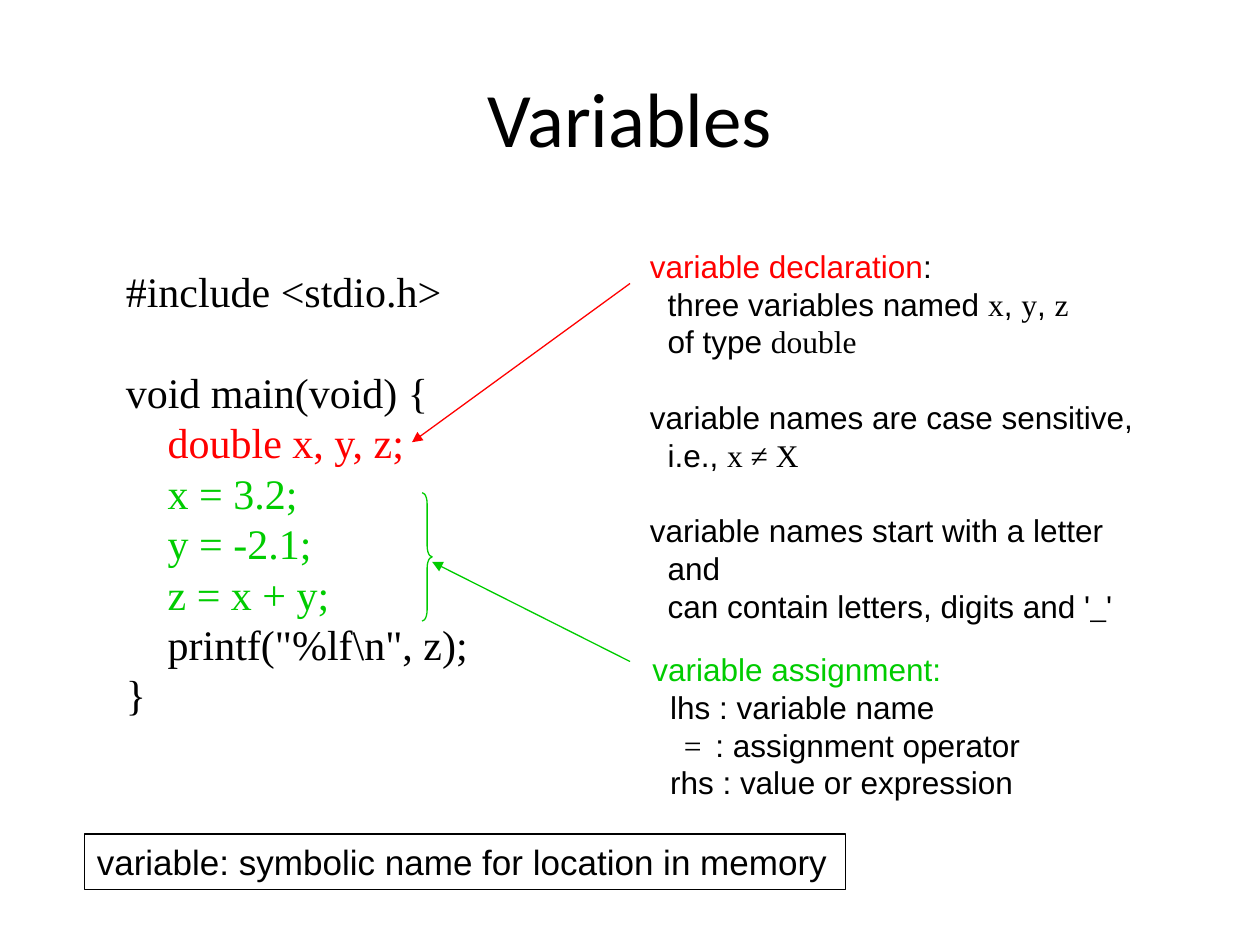
from lxml import etree
from pptx import Presentation
from pptx.dml.color import RGBColor
from pptx.enum import shapes, text
from pptx.oxml import ns
from pptx.util import Inches, Pt

BLACK = RGBColor(0x00, 0x00, 0x00)
RED = RGBColor(0xFF, 0x00, 0x00)
GREEN = RGBColor(0x00, 0xCC, 0x00)
SANS, SERIF = "Arial", "Times New Roman"
LEADING = 1.2


def add_span(para, words, font=SANS, size=18, color=BLACK):
    """Add formatted text; a newline becomes a line break."""
    for number, line in enumerate(words.split("\n")):
        if number:
            para.add_line_break()
        if line:
            span = para.add_run()
            span.text = line
            span.font.name = font
            span.font.size = Pt(size)
            span.font.color.rgb = color


def fill_box(box, paragraphs, size=18):
    """Each paragraph: lines of space before, left margin, first indent, spans."""
    frame = box.text_frame
    frame.word_wrap = False
    frame.auto_size = text.MSO_AUTO_SIZE.SHAPE_TO_FIT_TEXT
    frame.vertical_anchor = text.MSO_ANCHOR.TOP
    for number, (gap, margin, indent, spans) in enumerate(paragraphs):
        para = frame.add_paragraph() if number else frame.paragraphs[0]
        para.alignment = text.PP_ALIGN.LEFT
        para.line_spacing = Pt(size * LEADING)
        if gap:
            para.space_before = Pt(gap * size * LEADING)
        properties = para._p.get_or_add_pPr()
        properties.set("marL", str(Inches(margin)))
        properties.set("indent", str(Inches(indent)))
        for words, style in spans:
            add_span(para, words, size=size, **style)


deck = Presentation()
deck.slide_width, deck.slide_height = Inches(10), Inches(7.5)
page = deck.slides.add_slide(deck.slide_layouts[5])

# Title
title = page.shapes.title
title.left, title.top = Inches(0.5), Inches(0.3)
title.width, title.height = Inches(9), Inches(1.25)
title.text_frame.vertical_anchor = text.MSO_ANCHOR.MIDDLE
title_para = title.text_frame.paragraphs[0]
title_para.alignment = text.PP_ALIGN.CENTER
add_span(title_para, "Variables", font="Calibri", size=44)

# Program listing
code_lines = [
    (0, "#include <stdio.h>", BLACK),
    (1, "void main(void) {", BLACK),
    (0, "    double x, y, z;", RED),
    (0, "    x = 3.2;", GREEN),
    (0, "    y = -2.1;", GREEN),
    (0, "    z = x + y;", GREEN),
    (0, '    printf("%lf\\n", z);', BLACK),
    (0, "}", BLACK),
]
code = page.shapes.add_textbox(Inches(0.9), Inches(2.06), Inches(2.94), Inches(3.74))
fill_box(code, [(gap, 0, 0, [(line, {"font": SERIF, "color": color})])
                for gap, line, color in code_lines], size=24)

# Notes on declaration and names, with hanging indents
STEP = 0.14
plain, mono = {}, {"font": SERIF}
declaration = page.shapes.add_textbox(Inches(5.06), Inches(1.91), Inches(4.28), Inches(3.1))
fill_box(declaration, [
    (0, STEP, -STEP, [
        ("variable declaration", {"color": RED}),
        (":\nthree variables named ", plain), ("x", mono), (", ", plain),
        ("y", mono), (", ", plain), ("z", mono),
        ("\nof type ", plain), ("double", mono)]),
    (1, STEP, -STEP, [
        ("variable names are case sensitive,\ni.e., ", plain), ("x ≠ X", mono)]),
    (1, STEP, -STEP, [
        ("variable names start with a letter and\n"
         "can contain letters, digits and '", plain), ("_", mono), ("'", plain)]),
])

# Notes on assignment
assignment = page.shapes.add_textbox(Inches(5.08), Inches(5.11), Inches(3.27), Inches(1.3))
fill_box(assignment, [
    (0, STEP, -STEP, [("variable assignment:", {"color": GREEN}),
                      ("\nlhs : variable name", plain)]),
    (0, 0, 0.25, [("=\t", mono), (": assignment operator", plain)]),
    (0, STEP, 0, [("rhs : value or expression", plain)]),
])
operator = assignment.text_frame.paragraphs[1]._p.get_or_add_pPr()
tabs = etree.SubElement(operator, ns.qn("a:tabLst"))
etree.SubElement(tabs, ns.qn("a:tab"), pos=str(Inches(0.52)), algn="l")

# Arrows from the notes to the code
for x1, y1, x2, y2, color in [(5, 2.25, 3.27, 3.51, RED), (5, 5.25, 3.43, 4.46, GREEN)]:
    arrow = page.shapes.add_connector(shapes.MSO_CONNECTOR.STRAIGHT,
                                      Inches(x1), Inches(y1), Inches(x2), Inches(y2))
    arrow.line.color.rgb = color
    arrow.line.width = Pt(0.75)
    etree.SubElement(arrow.line._get_or_add_ln(), ns.qn("a:tailEnd"), type="triangle")
    etree.SubElement(arrow._element.spPr, ns.qn("a:effectLst"))

# Brace beside the assignments and frame of the definition
brace = page.shapes.add_shape(shapes.MSO_SHAPE.RIGHT_BRACE,
                              Inches(3.35), Inches(3.91), Inches(0.08), Inches(1.02))
brace.adjustments[0], brace.adjustments[1] = 1.09, 0.5
definition = page.shapes.add_shape(shapes.MSO_SHAPE.RECTANGLE,
                                   Inches(0.67), Inches(6.62), Inches(6.04), Inches(0.44))
for outline, color in [(brace, GREEN), (definition, BLACK)]:
    outline.shadow.inherit = False
    outline.fill.background()
    outline.line.color.rgb = color
    outline.line.width = Pt(0.75)
fill_box(definition, [(0, 0, 0, [("variable: symbolic name for location in memory", plain)])],
         size=20)

deck.save("out.pptx")
